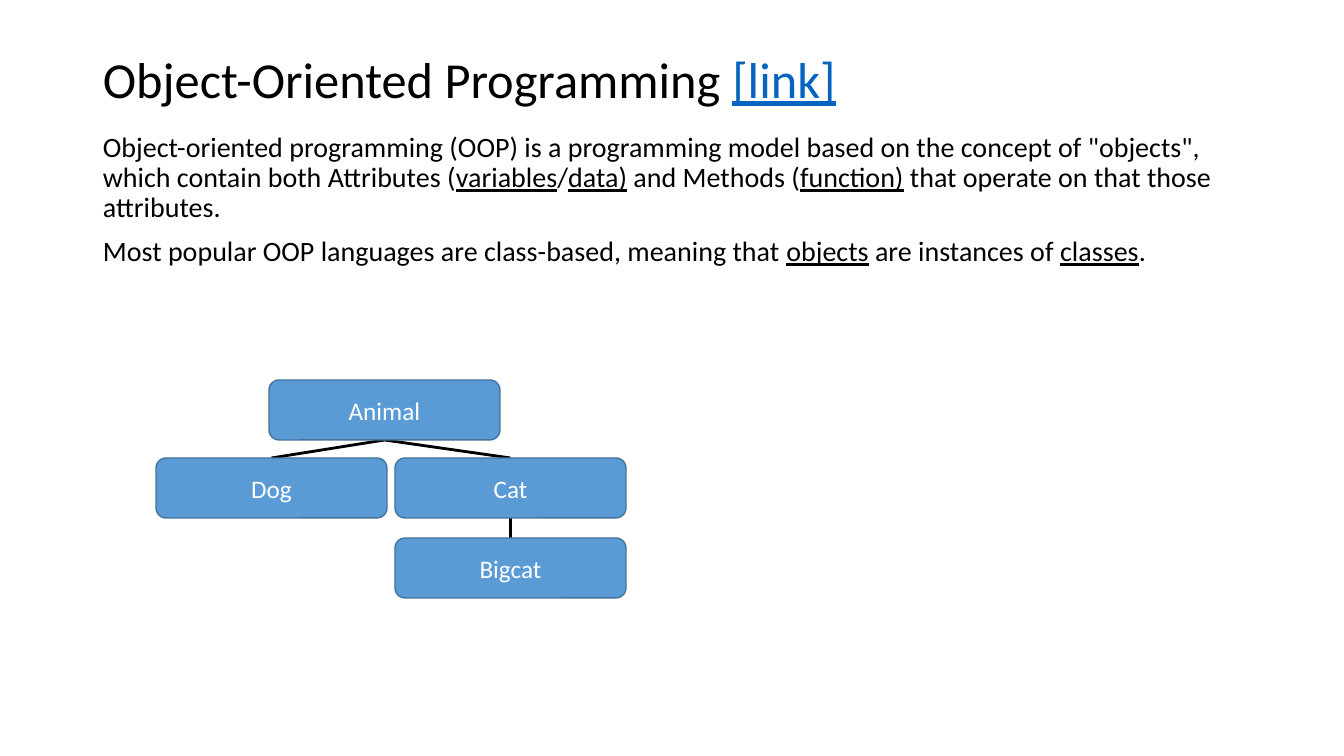
from dataclasses import dataclass
from lxml.etree import SubElement
from pptx import Presentation
from pptx.dml.color import RGBColor
from pptx.enum.shapes import MSO_CONNECTOR, MSO_SHAPE
from pptx.enum.text import MSO_ANCHOR, PP_ALIGN
from pptx.oxml.ns import qn
from pptx.shapes.autoshape import Shape
from pptx.slide import Slide
from pptx.util import Pt

BLACK = RGBColor(0x00, 0x00, 0x00)
WHITE = RGBColor(0xFF, 0xFF, 0xFF)
BLUE = RGBColor(0x5B, 0x9B, 0xD5)
EDGE = RGBColor(0x43, 0x73, 0x9E)
LINK = RGBColor(0x05, 0x63, 0xC1)

EMU_PER_PX = 914400 / 100.8
NODE_WIDTH, NODE_HEIGHT = 231, 60
BOTTOM, TOP = 2, 0


@dataclass
class Part:
    text: str
    underline: bool = False
    color: RGBColor = BLACK


@dataclass
class Block:
    left: int
    top: int
    width: int
    height: int
    size: int
    anchor: MSO_ANCHOR
    paragraphs: list[list[Part]]


@dataclass
class Node:
    name: str
    left: int
    top: int
    parent: str = ""


TITLE = Block(93, 40, 1159, 84, 36, MSO_ANCHOR.MIDDLE, [
    [Part("Object-Oriented Programming "), Part("[link]", True, LINK)],
])
BODY = Block(93, 128, 1171, 177, 20, MSO_ANCHOR.TOP, [
    [
        Part("Object-oriented programming (OOP) is a programming model based on "
             "the concept of \"objects\", which contain both Attributes ("),
        Part("variables", True),
        Part("/"),
        Part("data)", True),
        Part(" and Methods ("),
        Part("function)", True),
        Part(" that operate on that those attributes."),
    ],
    [
        Part("Most popular OOP languages are class-based, meaning that "),
        Part("objects", True),
        Part(" are instances of "),
        Part("classes", True),
        Part("."),
    ],
])
NODES = [
    Node("Animal", 269, 380),
    Node("Dog", 156, 458, "Animal"),
    Node("Cat", 395, 458, "Animal"),
    Node("Bigcat", 395, 538, "Cat"),
]


def px(*lengths: int) -> list[int]:
    return [round(length * EMU_PER_PX) for length in lengths]


def style(target: object, values: dict[str, object]) -> None:
    for name, value in values.items():
        setattr(target, name, value)


def add_block(slide: Slide, block: Block) -> None:
    box = slide.shapes.add_textbox(*px(block.left, block.top, block.width, block.height))
    frame = box.text_frame
    style(frame, {"word_wrap": True, "vertical_anchor": block.anchor})
    for index, parts in enumerate(block.paragraphs):
        paragraph = frame.add_paragraph() if index else frame.paragraphs[0]
        style(paragraph, {"line_spacing": 0.9, "space_before": Pt(10 if index else 0)})
        for part in parts:
            run = paragraph.add_run()
            run.text = part.text
            style(run.font, {"name": "Calibri", "size": Pt(block.size),
                             "underline": part.underline})
            run.font.color.rgb = part.color


def add_node(slide: Slide, node: Node) -> Shape:
    box = slide.shapes.add_shape(MSO_SHAPE.ROUNDED_RECTANGLE,
                                 *px(node.left, node.top, NODE_WIDTH, NODE_HEIGHT))
    box.shadow.inherit = False
    box.fill.solid()
    box.fill.fore_color.rgb = BLUE
    box.line.color.rgb = EDGE
    box.line.width = Pt(1)
    frame = box.text_frame
    style(frame, {"word_wrap": True, "vertical_anchor": MSO_ANCHOR.MIDDLE})
    paragraph = frame.paragraphs[0]
    paragraph.alignment = PP_ALIGN.CENTER
    run = paragraph.add_run()
    run.text = node.name
    style(run.font, {"name": "Calibri", "size": Pt(18)})
    run.font.color.rgb = WHITE
    return box


def add_branch(slide: Slide, parent: Shape, child: Shape) -> None:
    """Join parent to child with a line that lies behind the parent."""
    line = slide.shapes.add_connector(MSO_CONNECTOR.STRAIGHT, 0, 0, 0, 0)
    line.begin_connect(parent, BOTTOM)
    line.end_connect(child, TOP)
    line.line.color.rgb = BLACK
    line.line.width = Pt(2)
    SubElement(line.element.spPr, qn("a:effectLst"))
    parent.element.addprevious(line.element)


def main() -> None:
    deck = Presentation()
    deck.slide_width, deck.slide_height = px(1344, 756)
    slide = deck.slides.add_slide(deck.slide_layouts[6])
    for block in (TITLE, BODY):
        add_block(slide, block)
    boxes = {node.name: add_node(slide, node) for node in NODES}
    for node in NODES:
        if node.parent:
            add_branch(slide, boxes[node.parent], boxes[node.name])
    deck.save("out.pptx")


if __name__ == "__main__":
    main()
